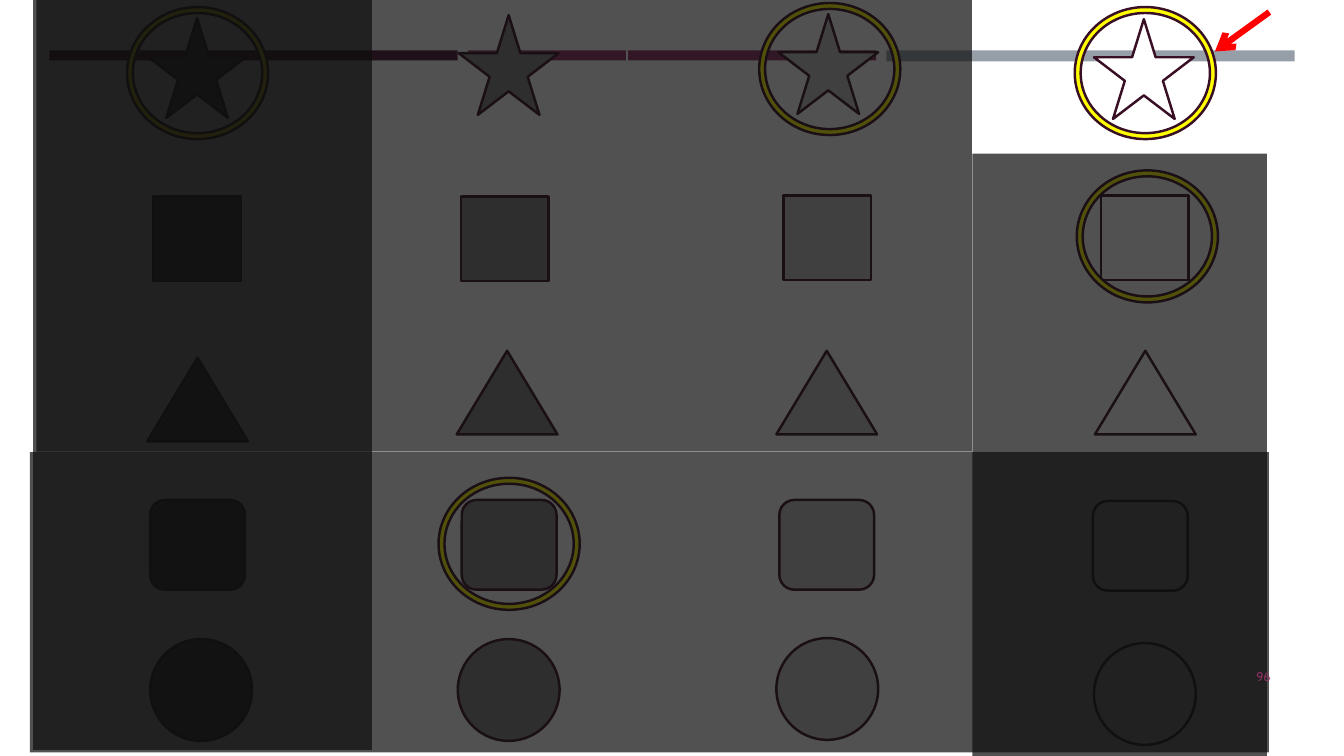
from lxml import etree
from pptx import Presentation, util as u
from pptx.dml.color import RGBColor
from pptx.enum import shapes, text
from pptx.oxml.ns import qn

KIND = shapes.MSO_SHAPE
COLS, ROWS = 13.33, 7.5
PLUM = RGBColor(0x4D, 0x14, 0x34)
STEEL = RGBColor(0x96, 0x9F, 0xA7)
BERRY = RGBColor(0x90, 0x31, 0x63)
EDGE = RGBColor(0x39, 0x0F, 0x26)
WHITE = RGBColor(0xFF, 0xFF, 0xFF)
RED = RGBColor(0xFF, 0x00, 0x00)
YELLOW = RGBColor(0xFF, 0xFF, 0x00)
SHADE = RGBColor(0x0F, 0x0F, 0x0F)
TONES = (RGBColor(0x3B, 0x3B, 0x3B), RGBColor(0x80, 0x80, 0x80),
         RGBColor(0xBF, 0xBF, 0xBF), WHITE)

# kind, width, height, then left and top for each tone
SIGNS = (
    (KIND.OVAL, 1.01, 1.01,
     ((1.49, 6.34), (4.54, 6.34), (7.7, 6.33), (10.85, 6.38))),
    (KIND.STAR_5_POINT, 0.99, 0.99,
     ((1.46, 0.18), (4.55, 0.15), (7.72, 0.14), (10.85, 0.19))),
    (KIND.ISOSCELES_TRIANGLE, 1, 0.83,
     ((1.46, 3.55), (4.53, 3.48), (7.7, 3.48), (10.86, 3.48))),
    (KIND.RECTANGLE, 0.87, 0.84,
     ((1.52, 1.95), (4.57, 1.95), (7.77, 1.94), (10.92, 1.94))),
    (KIND.ROUNDED_RECTANGLE, 0.94, 0.89,
     ((1.49, 4.96), (4.58, 4.96), (7.73, 4.96), (10.84, 4.97))),
)


class Board:
    """Draws on one slide; lengths are columns and rows of its grid."""
    font = "Cabin"
    edge = 1.75

    def __init__(self, deck):
        self.wide = deck.slide_width / COLS
        self.high = deck.slide_height / ROWS
        self.items = deck.slides.add_slide(deck.slide_layouts[6]).shapes

    def spot(self, x, y):
        return round(x * self.wide), round(y * self.high)

    def shape(self, kind, x, y, w, h, fill, edge=None):
        item = self.items.add_shape(kind, *self.spot(x, y), *self.spot(w, h))
        item.shadow.inherit = False
        item.fill.solid()
        item.fill.fore_color.rgb = fill
        if edge is None:
            item.line.fill.background()
        else:
            item.line.color.rgb = edge
            item.line.width = u.Pt(self.edge)
        return item

    def ring(self, x, y):
        ring = self.shape(KIND.DONUT, x, y, 1.4, 1.31, YELLOW, EDGE)
        ring.adjustments[0] = 0.045

    def veil(self, x, y, w, h, turn=0):
        """Add a see-through dark panel, turned by the given degrees."""
        veil = self.shape(KIND.RECTANGLE, x, y, w, h, SHADE)
        veil.rotation = turn
        tint = veil.fill._xPr.find(".//" + qn("a:srgbClr"))
        etree.SubElement(tint, qn("a:alpha"), val="72000")

    def line(self, start, end, color, width, head=False):
        line = self.items.add_connector(
            shapes.MSO_CONNECTOR.STRAIGHT, *self.spot(*start), *self.spot(*end))
        line.line.color.rgb = color
        line.line.width = u.Pt(width)
        if head:
            etree.SubElement(line.line._get_or_add_ln(), qn("a:tailEnd"),
                             type="arrow")
        etree.SubElement(line._element.spPr, qn("a:effectLst"))

    def label(self, words, x, y, w, h, size, color):
        frame = self.items.add_textbox(
            *self.spot(x, y), *self.spot(w, h)).text_frame
        frame.word_wrap = True
        frame.vertical_anchor = text.MSO_ANCHOR.MIDDLE
        para = frame.paragraphs[0]
        para.alignment = text.PP_ALIGN.RIGHT
        run = para.add_run()
        run.text = words
        run.font.name = self.font
        run.font.size = u.Pt(size)
        run.font.color.rgb = color


def main():
    deck = Presentation()
    deck.slide_width, deck.slide_height = u.Inches(COLS), u.Inches(ROWS)
    board = Board(deck)

    for x, h, color in ((0.49, 0.1, PLUM), (8.79, 0.11, STEEL),
                        (4.64, 0.1, BERRY)):
        board.shape(KIND.RECTANGLE, x, 0.5, 4.05, h, color)
    board.line((6.22, 0.12), (6.22, 7.31), WHITE, 1.5)
    board.line((0.34, 3.96), (12.73, 3.96), WHITE, 1.5)

    for kind, w, h, spots in SIGNS:
        for (x, y), tone in zip(spots, TONES):
            board.shape(kind, x, y, w, h, tone, EDGE)

    board.line((12.59, 0.12), (12.05, 0.51), RED, 4.5, head=True)
    board.ring(1.26, 0.07)
    board.ring(7.53, 0.03)
    board.veil(0.33, 0, 3.36, 7.44)
    board.ring(4.35, 4.74)
    board.veil(4.95, -0.17, 2.98, 12.29, 90)
    board.ring(10.68, 1.69)
    board.veil(2.76, -2.4, 4.48, 9.28, 90)
    board.ring(10.66, 0.07)
    board.veil(8.11, 3.06, 5.99, 2.92, 90)
    board.label("96", 11.55, 6.51, 1.15, 0.4, 9, BERRY)
    deck.save("out.pptx")


if __name__ == "__main__":
    main()
